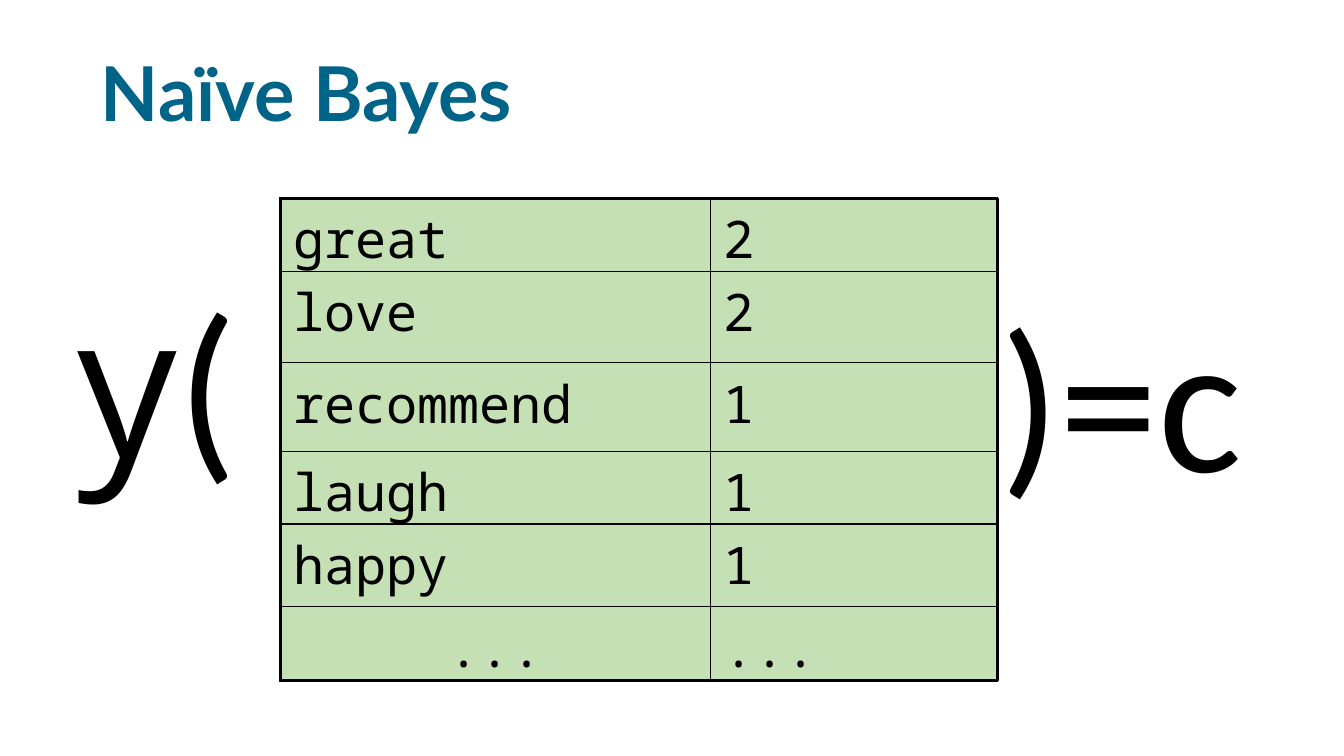
"""Build the Naïve Bayes slide with a table of word counts."""
from lxml.etree import SubElement
from pptx import Presentation
from pptx.dml.color import RGBColor
from pptx.enum.shapes import MSO_SHAPE
from pptx.enum.text import MSO_ANCHOR, MSO_AUTO_SIZE, PP_ALIGN
from pptx.oxml.ns import qn
from pptx.util import Inches, Pt

BLUE = RGBColor(0x00, 0x63, 0x88)
GREEN = RGBColor(0xC5, 0xE0, 0xB4)
BLACK = RGBColor(0x00, 0x00, 0x00)

WORD_COUNTS = [("great", "2"), ("love", "2"), ("recommend", "1"),
               ("laugh", "1"), ("happy", "1"), ("...", "...")]
COLUMN_WIDTHS = [4.27, 2.84]
ROW_HEIGHTS = [0.72, 0.91, 0.88, 0.72, 0.82, 0.73]
TABLE_BOX = [Inches(2.78), Inches(1.97), Inches(7.11), Inches(4.78)]


def add_border(cell, side, width):
    properties = cell._tc.get_or_add_tcPr()
    line = SubElement(properties, qn(f"a:{side}"), w=str(Pt(width)))
    fill = SubElement(line, qn("a:solidFill"))
    SubElement(fill, qn("a:srgbClr"), val=str(BLACK))


presentation = Presentation()
presentation.slide_width = Inches(13.33)
presentation.slide_height = Inches(7.5)
slide = presentation.slides.add_slide(presentation.slide_layouts[5])

title = slide.shapes.title
title.left, title.top = Inches(0.9), Inches(0.42)
title.width, title.height = Inches(11.99), Inches(1.08)
title.text_frame.text = "Naïve Bayes"
title.text_frame.auto_size = MSO_AUTO_SIZE.NONE
title.text_frame.vertical_anchor = MSO_ANCHOR.MIDDLE
paragraph = title.text_frame.paragraphs[0]
paragraph.alignment = PP_ALIGN.LEFT
paragraph.line_spacing = 0.9
paragraph.font.name = "Lato"
paragraph.font.size = Pt(54)
paragraph.font.bold = True
paragraph.font.color.rgb = BLUE

panel = slide.shapes.add_shape(MSO_SHAPE.RECTANGLE, *TABLE_BOX)
panel.shadow.inherit = False
panel.fill.solid()
panel.fill.fore_color.rgb = GREEN
panel.line.color.rgb = BLACK
panel.line.width = Pt(2.25)

formula_parts = [
    (0.67, 2.53, 2, True, [("y", "Open Sans"), ("(", "Calibri")]),
    (9.82, 2.68, 2.63, False, [(")=c", "Calibri")]),
]
for left, top, width, wrap, runs in formula_parts:
    text_box = slide.shapes.add_textbox(
        Inches(left), Inches(top), Inches(width), Inches(2.48))
    text_box.text_frame.word_wrap = wrap
    text_box.text_frame.auto_size = MSO_AUTO_SIZE.SHAPE_TO_FIT_TEXT
    paragraph = text_box.text_frame.paragraphs[0]
    for text, font_name in runs:
        run = paragraph.add_run()
        run.text = text
        run.font.name = font_name
        run.font.size = Pt(141.3)
        run.font.color.rgb = BLACK

table = slide.shapes.add_table(
    len(ROW_HEIGHTS), len(COLUMN_WIDTHS), *TABLE_BOX).table
table.first_row = False
table.horz_banding = False
for column, width in zip(table.columns, COLUMN_WIDTHS):
    column.width = Inches(width)
for row, height in zip(table.rows, ROW_HEIGHTS):
    row.height = Inches(height)

last_row = len(ROW_HEIGHTS) - 1
last_column = len(COLUMN_WIDTHS) - 1
for row_index, values in enumerate(WORD_COUNTS):
    for column_index, value in enumerate(values):
        cell = table.cell(row_index, column_index)
        cell.text = value
        cell.margin_left = cell.margin_right = Inches(0.13)
        cell.margin_top = cell.margin_bottom = Inches(0.05)
        outer_sides = {"lnL": column_index == 0,
                       "lnR": column_index == last_column,
                       "lnT": row_index == 0,
                       "lnB": row_index == last_row}
        for side, is_outer in outer_sides.items():
            add_border(cell, side, 2.25 if is_outer else 1)
        cell.fill.background()
        paragraph = cell.text_frame.paragraphs[0]
        paragraph.font.name = "Noto Sans Mono"
        paragraph.font.size = Pt(37)
        paragraph.font.color.rgb = BLACK
table.cell(last_row, 0).text_frame.paragraphs[0].alignment = PP_ALIGN.CENTER

presentation.save("out.pptx")
